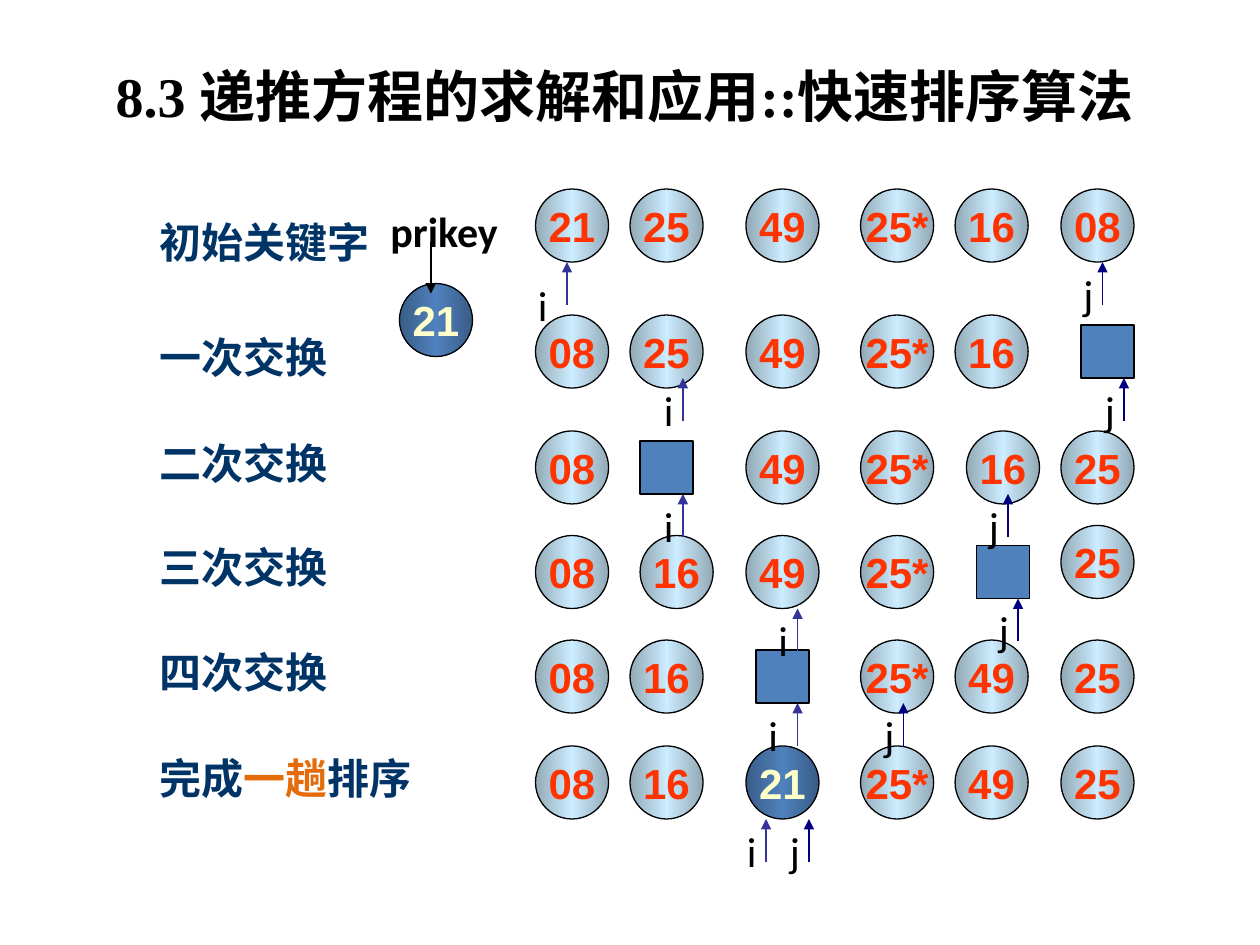
from copy import deepcopy

from lxml import etree
from pptx import Presentation
from pptx import util as u
from pptx.dml.color import RGBColor
from pptx.enum import shapes, text
from pptx.oxml import ns

BLACK = RGBColor(0x00, 0x00, 0x00)
NAVY = RGBColor(0x00, 0x33, 0x66)
ORANGE = RGBColor(0xE4, 0x6C, 0x0A)
RED = RGBColor(0xFF, 0x33, 0x00)
CREAM = RGBColor(0xFF, 0xFF, 0xCC)
BLUE = RGBColor(0x4F, 0x81, 0xBD)
DARK_BLUE = RGBColor(0x39, 0x5C, 0x87)
ICE = RGBColor(0xCC, 0xEC, 0xFF)
STEEL = RGBColor(0x92, 0xA9, 0xB6)
POINTER_COLORS = {"i": RGBColor(0x33, 0x33, 0x99), "j": RGBColor(0x00, 0x00, 0x80)}

CIRCLE, SQUARE = 0.58, 0.42
KEY_STYLE = (STEEL, ICE, RED)
PIVOT_STYLE = (DARK_BLUE, BLUE, CREAM)


class SortSlide:
    """Draws the elements of the quicksort trace."""

    line_width = u.Pt(0.75)

    def __init__(self, slide):
        self.shapes = slide.shapes

    def add_runs(self, frame, runs, font="Calibri", size=24, bold=False,
                 align=text.PP_ALIGN.LEFT):
        paragraph = frame.paragraphs[0]
        paragraph.alignment = align
        for words, color in runs:
            run = paragraph.add_run()
            run.text = words
            run.font.name = font
            run.font.size = u.Pt(size)
            run.font.bold = bold
            run.font.color.rgb = color

    def label(self, left, top, width, height, runs, wrap=True, grow=True, **style):
        box = self.shapes.add_textbox(*map(u.Inches, (left, top, width, height)))
        frame = box.text_frame
        frame.word_wrap = wrap
        if grow:
            frame.auto_size = text.MSO_AUTO_SIZE.SHAPE_TO_FIT_TEXT
        else:
            frame.vertical_anchor = text.MSO_ANCHOR.MIDDLE
        self.add_runs(frame, runs, **style)

    def outlined(self, kind, left, top, size):
        shape = self.shapes.add_shape(kind, *map(u.Inches, (left, top, size, size)))
        shape.shadow.inherit = False
        shape.line.color.rgb = BLACK
        shape.line.width = self.line_width
        return shape

    def circle(self, left, top, key, style=KEY_STYLE):
        edge, middle, ink = style
        shape = self.outlined(shapes.MSO_SHAPE.OVAL, left, top, CIRCLE)
        fill = shape.fill
        fill.gradient()
        fill.gradient_angle = 0
        for stop, color, position in zip(fill.gradient_stops, (edge, middle), (0, 0.5)):
            stop.color.rgb = color
            stop.position = position
        stops = shape._element.spPr.find(".//" + ns.qn("a:gsLst"))
        last = deepcopy(stops[0])
        last.set("pos", "100000")
        stops.append(last)
        frame = shape.text_frame
        frame.word_wrap = False
        frame.vertical_anchor = text.MSO_ANCHOR.MIDDLE
        self.add_runs(frame, [(key, ink)], font="Arial", bold=True,
                      align=text.PP_ALIGN.CENTER)

    def gap(self, left, top):
        shape = self.outlined(shapes.MSO_SHAPE.RECTANGLE, left, top, SQUARE)
        shape.fill.solid()
        shape.fill.fore_color.rgb = BLUE

    def arrow(self, x, start, end, color):
        connector = self.shapes.add_connector(
            shapes.MSO_CONNECTOR.STRAIGHT, *map(u.Inches, (x, start, x, end)))
        connector.line.color.rgb = color
        connector.line.width = self.line_width
        properties = connector._element.spPr
        outline = properties.find(ns.qn("a:ln"))
        etree.SubElement(outline, ns.qn("a:tailEnd"), type="triangle")
        etree.SubElement(properties, ns.qn("a:effectLst"))

    def pointer(self, name, x, top, dx=0.25, dy=0):
        self.label(x - dx, top + dy, 0.29, 0.5, [(name, BLACK)], wrap=False)
        self.arrow(x, top + 0.34, top, POINTER_COLORS[name])


presentation = Presentation()
presentation.slide_width = u.Inches(10)
presentation.slide_height = u.Inches(7.5)
page = SortSlide(presentation.slides.add_slide(presentation.slide_layouts[6]))

# Sorting steps: label, label top, row top, keys (None is the open position)
COLUMNS = (4.25, 5, 5.92, 6.83, 7.58, 8.42)
STEPS = [
    ([("初始关键字", NAVY)], 1.67, 1.5, ("21", "25", "49", "25*", "16", "08")),
    ([("一次交换", NAVY)], 2.58, 2.5, ("08", "25", "49", "25*", "16", None)),
    ([("二次交换", NAVY)], 3.42, 3.42, ("08", None, "49", "25*", "16", "25")),
    ([("三次交换", NAVY)], 4.25, 4.25, ("08", "16", "49", "25*", None, "25")),
    ([("四次交换", NAVY)], 5.08, 5.08, ("08", "16", None, "25*", "49", "25")),
    ([("完成", NAVY), ("一趟", ORANGE), ("排序", NAVY)], 5.92, 5.92,
     ("08", "16", "21", "25*", "49", "25")),
]
# Small offsets of single keys, by (row, column)
NUDGES = {(1, 5): (0.08, 0), (2, 4): (0.09, 0), (3, 1): (0.08, 0),
          (3, 4): (0.09, 0), (3, 5): (0, -0.08)}

for row, (runs, label_top, row_top, keys) in enumerate(STEPS):
    page.label(1.17, label_top, 2.25 if len(runs) > 1 else 1.93, 0.5, runs, bold=True)
    for column, key in enumerate(keys):
        dx, dy = NUDGES.get((row, column), (0, 0))
        left, top = COLUMNS[column] + dx, row_top + dy
        if key is None:
            page.gap(left + 0.08, top + 0.08)
        else:
            placed_pivot = row == len(STEPS) - 1 and key == "21"
            page.circle(left, top, key, PIVOT_STYLE if placed_pivot else KEY_STYLE)

# Pivot key
page.circle(3.17, 2.25, "21", PIVOT_STYLE)
page.arrow(3.42, 1.92, 2.33, BLACK)
page.label(3, 1.58, 1.13, 0.5, [("prikey", BLACK)], wrap=False, bold=True)

# Scan pointers
page.pointer("i", 4.5, 2.08, dx=0.33, dy=0.09)
page.pointer("i", 6.33, 5.58, dx=0.33)
for name, x, top in [
    ("j", 8.75, 2.08), ("i", 5.42, 3), ("j", 8.92, 3), ("i", 5.42, 3.92),
    ("j", 8, 3.92), ("i", 6.33, 4.83), ("j", 8.08, 4.75), ("j", 7.17, 5.58),
    ("i", 6.08, 6.5), ("j", 6.42, 6.5),
]:
    page.pointer(name, x, top)

# Title
page.label(0.25, 0.42, 9.42, 0.67, [("8.3 递推方程的求解和应用::快速排序算法", BLACK)],
           grow=False, font="Times New Roman", size=32, bold=True,
           align=text.PP_ALIGN.CENTER)

presentation.save("out.pptx")
